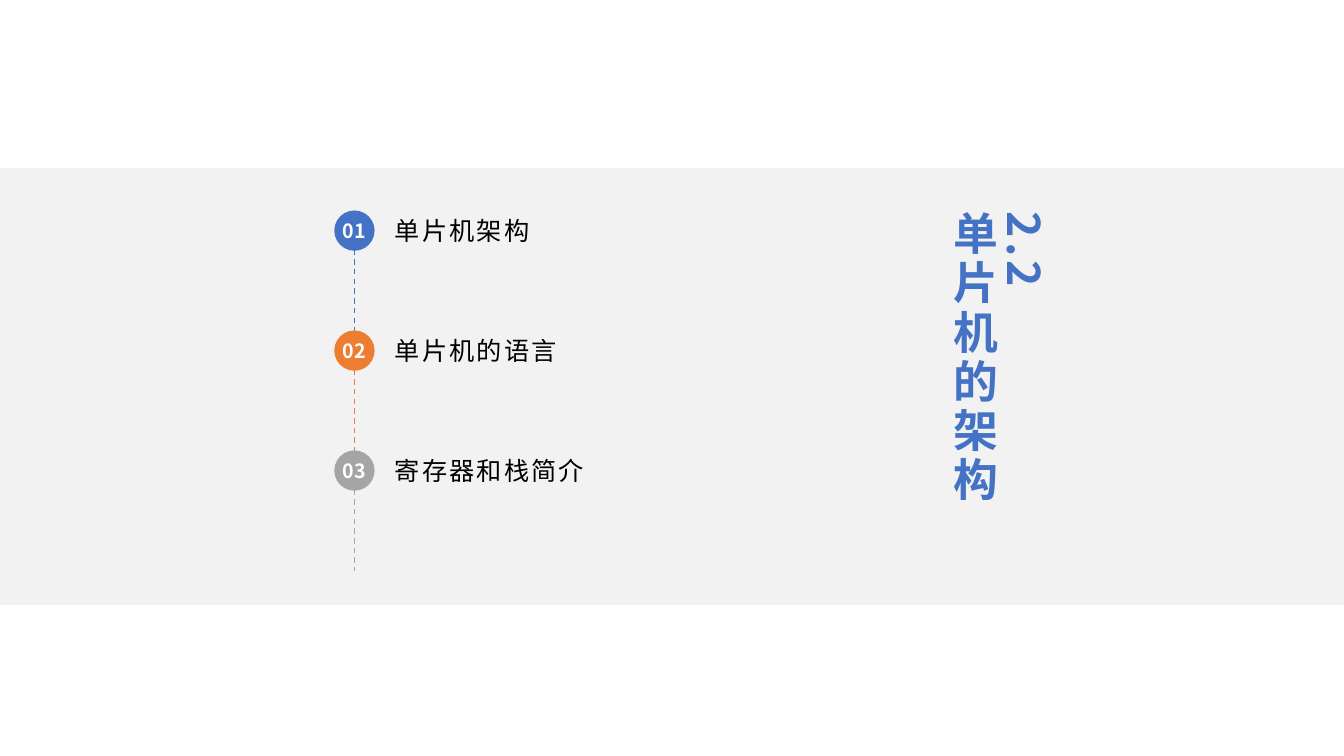
from dataclasses import dataclass
from typing import NamedTuple

from lxml import etree
from pptx import Presentation, util as u
from pptx.dml.color import RGBColor
from pptx.enum import dml, shapes, text
from pptx.oxml import ns


@dataclass(frozen=True)
class Theme:
    blue: str = "4472C4"
    orange: str = "ED7D31"
    grey: str = "A5A5A5"
    band: str = "F2F2F2"
    ink: str = "000000"
    paper: str = "FFFFFF"
    heading_font: str = "Noto Sans CJK SC"
    label_font: str = "Arial"
    heading_size: int = 32
    label_size: int = 18
    badge_size: int = 14


class Cell(NamedTuple):
    column: float
    row: float
    columns: float
    rows: float


class Topic(NamedTuple):
    number: str
    label: str
    color: str


THEME = Theme()
SLIDE_WIDTH, SLIDE_HEIGHT = u.Inches(13.333), u.Inches(7.5)
COLUMN, ROW = SLIDE_WIDTH / 40, SLIDE_HEIGHT / 45
FIRST_ROW = 12
TOPIC_ROWS = 7.14

TOPICS = [
    Topic("01", "单片机架构", THEME.blue),
    Topic("02", "单片机的语言", THEME.orange),
    Topic("03", "寄存器和栈简介", THEME.grey),
]


def place(cell: Cell) -> tuple[int, int, int, int]:
    return (round(cell.column * COLUMN), round(cell.row * ROW),
            round(cell.columns * COLUMN), round(cell.rows * ROW))


def write(frame, *lines: str, font: str, size: int, color: str,
          bold: bool = False, tracking: float = 0, leading: float = 1.0,
          align=text.PP_ALIGN.LEFT, anchor=text.MSO_ANCHOR.TOP,
          wrap: bool = True) -> None:
    frame.word_wrap = wrap
    frame.vertical_anchor = anchor
    for index, line in enumerate(lines):
        paragraph = frame.add_paragraph() if index else frame.paragraphs[0]
        paragraph.alignment = align
        paragraph.line_spacing = leading
        run = paragraph.add_run()
        run.text = line
        run.font.name = font
        run.font.size = u.Pt(size)
        run.font.bold = bold
        run.font.color.rgb = RGBColor.from_string(color)
        properties = run.font._element
        properties.set("spc", str(round(tracking * 100)))
        etree.SubElement(properties, ns.qn("a:ea")).set("typeface", font)


def add_filled(slide, kind, cell: Cell, color: str):
    shape = slide.shapes.add_shape(kind, *place(cell))
    shape.shadow.inherit = False
    shape.fill.solid()
    shape.fill.fore_color.rgb = RGBColor.from_string(color)
    shape.line.fill.background()
    return shape


def add_dashed_drop(slide, column: float, top: float, bottom: float,
                    color: str) -> None:
    x = round(column * COLUMN)
    drop = slide.shapes.add_connector(
        shapes.MSO_CONNECTOR.STRAIGHT, x, round(top * ROW), x, round(bottom * ROW))
    drop.line.color.rgb = RGBColor.from_string(color)
    drop.line.width = u.Pt(1)
    drop.line.dash_style = dml.MSO_LINE.DASH
    etree.SubElement(drop._element.spPr, ns.qn("a:effectLst"))


def add_heading(slide) -> None:
    heading = slide.shapes.add_textbox(*place(Cell(28, FIRST_ROW, 4, 22)))
    heading.text_frame._txBody.bodyPr.set("vert", "eaVert")
    write(heading.text_frame, "2.2", "单片机的架构", font=THEME.heading_font,
          size=THEME.heading_size, color=THEME.blue, bold=True, tracking=3,
          leading=0.95, anchor=text.MSO_ANCHOR.BOTTOM)


def add_topic(slide, topic: Topic, row: float) -> None:
    label = slide.shapes.add_textbox(*place(Cell(11.46, row, 13.6, 6.66)))
    write(label.text_frame, topic.label, font=THEME.label_font,
          size=THEME.label_size, color=THEME.ink, tracking=1.5, leading=1.3)
    badge = add_filled(slide, shapes.MSO_SHAPE.OVAL,
                       Cell(9.95, row + 0.53, 1.2, 2.4), topic.color)
    write(badge.text_frame, topic.number, font=THEME.heading_font,
          size=THEME.badge_size, color=THEME.paper, bold=True, wrap=False,
          align=text.PP_ALIGN.CENTER, anchor=text.MSO_ANCHOR.MIDDLE)
    add_dashed_drop(slide, 10.56, row + 2.85, row + 7.73, topic.color)


def main() -> None:
    deck = Presentation()
    deck.slide_width, deck.slide_height = SLIDE_WIDTH, SLIDE_HEIGHT
    slide = deck.slides.add_slide(deck.slide_layouts[6])
    add_filled(slide, shapes.MSO_SHAPE.RECTANGLE, Cell(0, 10, 40, 26), THEME.band)
    add_heading(slide)
    for index, topic in enumerate(TOPICS):
        add_topic(slide, topic, FIRST_ROW + index * TOPIC_ROWS)
    deck.save("out.pptx")


if __name__ == "__main__":
    main()
